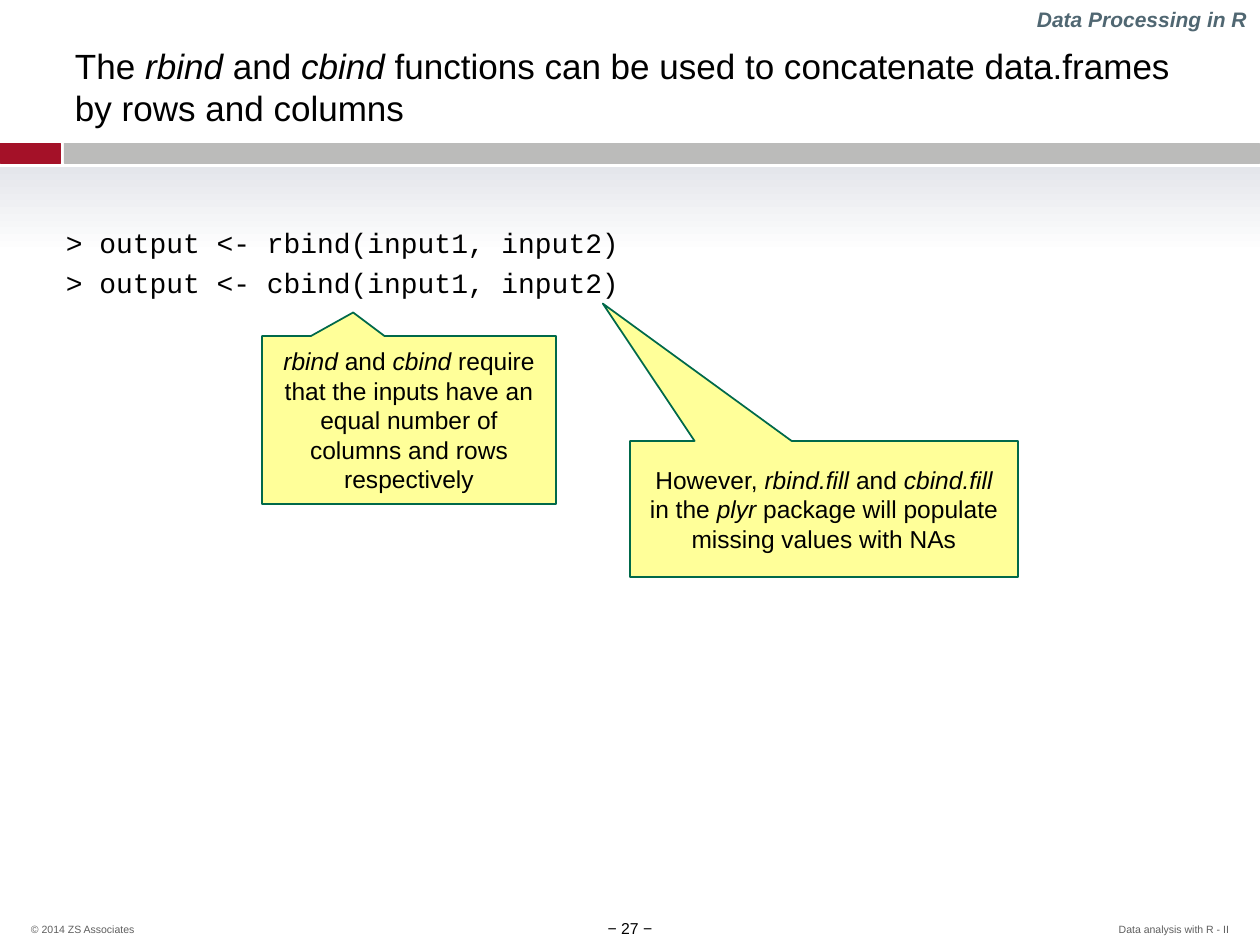
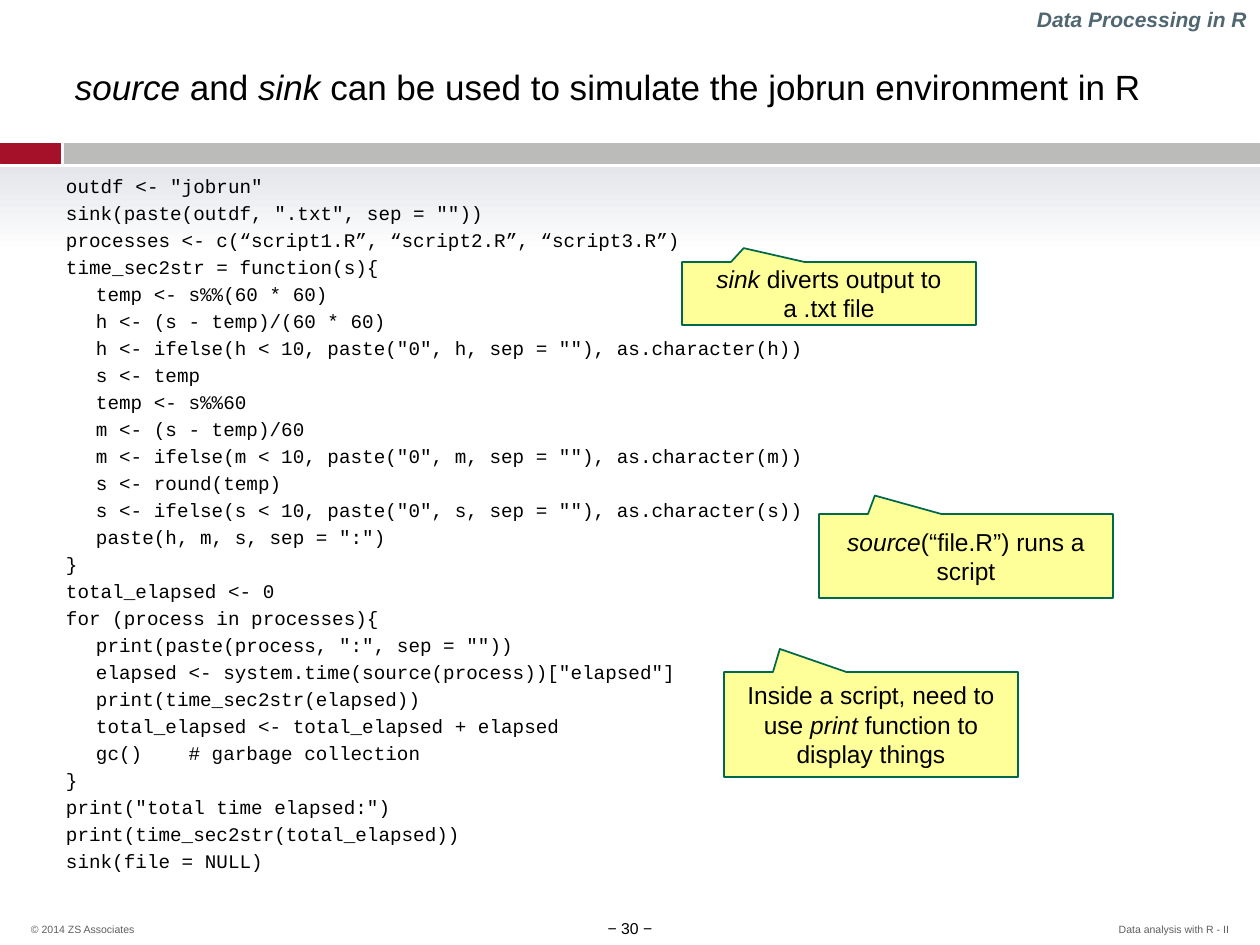
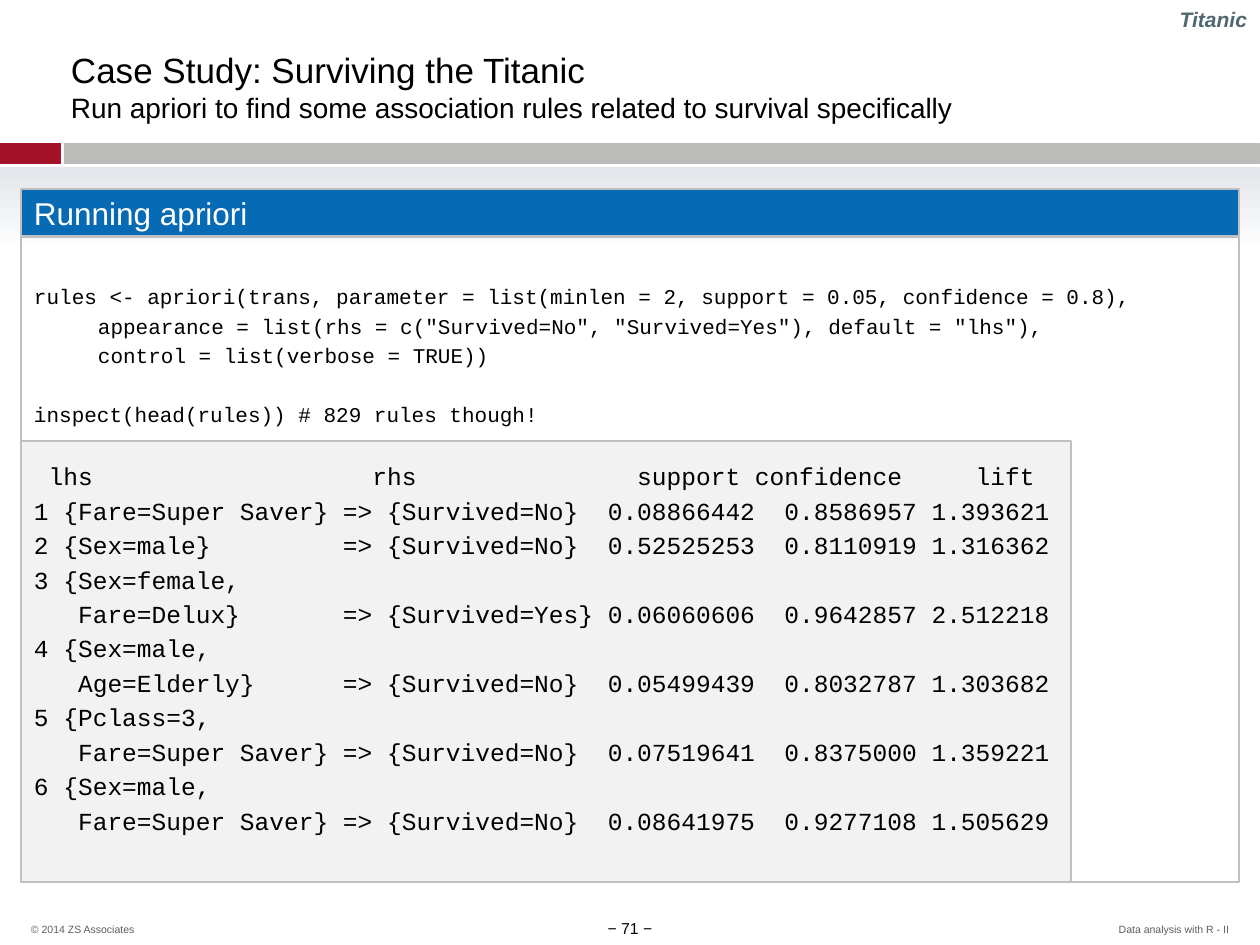
"""Build three slides on data processing and association rules in R."""
import pptx
import pptx.dml.color
import pptx.enum.shapes
import pptx.enum.text
import pptx.util

PX = 914400 / 126
rgb = pptx.dml.color.RGBColor.from_string
PRESET = pptx.enum.shapes.MSO_SHAPE
ALIGN = pptx.enum.text.PP_ALIGN
ANCHOR = pptx.enum.text.MSO_ANCHOR

BLACK, WHITE = "000000", "FFFFFF"
RED, GREY, HAZE = "A41128", "BBBBBA", "E4E6EB"
SLATE, FOOTER_GREY = "506772", "5F5F5F"
YELLOW, GREEN = "FFFF99", "00694A"
BLUE, PALE, BORDER = "076AB5", "F2F2F2", "BFBFBF"
SANS, MONO = "Arial", "Courier New"


def box(slide, place, preset=None, fill=None, line=None, width=1):
    """Add a text box, or a preset shape with the given fill and line."""
    left, top, wide, high = [round(length * PX) for length in place]
    if preset is None:
        return slide.shapes.add_textbox(left, top, wide, high)
    shape = slide.shapes.add_shape(preset, left, top, wide, high)
    shape.shadow.inherit = False
    if fill:
        shape.fill.solid()
        shape.fill.fore_color.rgb = rgb(fill)
    else:
        shape.fill.background()
    if line:
        shape.line.color.rgb = rgb(line)
        shape.line.width = pptx.util.Pt(width)
    else:
        shape.line.fill.background()
    return shape


def write(shape, lines, face=SANS, tint=BLACK, align=ALIGN.LEFT, anchor=ANCHOR.TOP,
          margins=(13, 6), hang=0, bold=False, leading=None):
    """Write (text, size, gap) lines, with italic parts between bars."""
    frame = shape.text_frame
    frame.word_wrap = True
    frame.vertical_anchor = anchor
    frame.margin_left = frame.margin_right = round(margins[0] * PX)
    frame.margin_top = frame.margin_bottom = round(margins[1] * PX)
    for row, (text, size, gap) in enumerate(lines):
        paragraph = frame.paragraphs[0] if row == 0 else frame.add_paragraph()
        paragraph.alignment = align
        if hang:
            properties = paragraph._p.get_or_add_pPr()
            properties.set("marL", str(round(hang * PX)))
            properties.set("indent", str(-round(hang * PX)))
        if face == MONO:
            paragraph.line_spacing = pptx.util.Pt(round(size * 1.19, 2))
        elif leading:
            paragraph.line_spacing = leading
        if row and gap:
            paragraph.space_before = pptx.util.Pt(round(gap, 2))
        for part, words in enumerate(text.split("|")):
            if words:
                run = paragraph.add_run()
                run.text = words
                run.font.name = face
                run.font.size = pptx.util.Pt(size)
                run.font.color.rgb = rgb(tint)
                run.font.bold = bold
                run.font.italic = part % 2 == 1


CODE_GAP = 0.215
BLANK_LINE = 1.4 * 12

bind_code = ["> output <- rbind(input1, input2)", "> output <- cbind(input1, input2)"]
jobrun_code = """outdf <- "jobrun"
sink(paste(outdf, ".txt", sep = ""))
processes <- c(“script1.R”, “script2.R”, “script3.R”)
time_sec2str = function(s){
\ttemp <- s%%(60 * 60)
\th <- (s - temp)/(60 * 60)
\th <- ifelse(h < 10, paste("0", h, sep = ""), as.character(h))
\ts <- temp
\ttemp <- s%%60
\tm <- (s - temp)/60
\tm <- ifelse(m < 10, paste("0", m, sep = ""), as.character(m))
\ts <- round(temp)
\ts <- ifelse(s < 10, paste("0", s, sep = ""), as.character(s))
\tpaste(h, m, s, sep = ":")
}
total_elapsed <- 0
for (process in processes){
\tprint(paste(process, ":", sep = ""))
\telapsed <- system.time(source(process))["elapsed"]
\tprint(time_sec2str(elapsed))
\ttotal_elapsed <- total_elapsed + elapsed
\tgc()    # garbage collection
}
print("total time elapsed:")
print(time_sec2str(total_elapsed))
sink(file = NULL)""".split("\n")
apriori_code = """rules <- apriori(trans, parameter = list(minlen = 2, support = 0.05, confidence = 0.8),
\tappearance = list(rhs = c("Survived=No", "Survived=Yes"), default = "lhs"),
\tcontrol = list(verbose = TRUE))
inspect(head(rules)) # 829 rules though!""".split("\n")
apriori_output = """ lhs                   rhs               support confidence     lift
1 {Fare=Super Saver} => {Survived=No}  0.08866442  0.8586957 1.393621
2 {Sex=male}         => {Survived=No}  0.52525253  0.8110919 1.316362
3 {Sex=female,
   Fare=Delux}       => {Survived=Yes} 0.06060606  0.9642857 2.512218
4 {Sex=male,
   Age=Elderly}      => {Survived=No}  0.05499439  0.8032787 1.303682
5 {Pclass=3,
   Fare=Super Saver} => {Survived=No}  0.07519641  0.8375000 1.359221
6 {Sex=male,
   Fare=Super Saver} => {Survived=No}  0.08641975  0.9277108 1.505629""".split("\n")

pages = [
    dict(number=27, section="Data Processing in R", title_place=(63, 39, 1137, 95),
         title=[("The |rbind| and |cbind| functions can be used to concatenate "
                 "data.frames by rows and columns", 20, 0)],
         code=bind_code, code_size=16, code_place=(53, 220, 1155, 651),
         callouts=[
             ((262, 336, 294, 168), (-0.19, -0.64),
              "|rbind| and |cbind| require that the inputs have an equal number of "
              "columns and rows respectively"),
             ((630, 441, 388, 136), (-0.57, -1.51),
              "However, |rbind.fill |and |cbind.fill| in the |plyr| package will "
              "populate missing values with NAs")]),
    dict(number=30, section="Data Processing in R", title_place=(63, 39, 1137, 95),
         title=[("|source| and |sink| can be used to simulate the jobrun "
                 "environment in R", 20, 0)],
         code=jobrun_code, code_size=11, code_place=(53, 168, 1155, 703),
         callouts=[
             ((724, 672, 294, 105), (-0.31, -0.72),
              "Inside a script, need to use |print| function to display things"),
             ((682, 262, 294, 63), (-0.29, -0.72),
              "|sink| diverts output to a .txt file"),
             ((819, 514, 294, 84), (-0.31, -0.72),
              "|source|(“file.R”) runs a script")]),
    dict(number=71, section="Titanic", title_place=(59, 43, 1140, 86),
         title=[("Case Study: Surviving the Titanic", 20, 0),
                ("Run apriori to find some association rules related to survival "
                 "specifically", 16, 0)],
         code=[], callouts=[]),
]

deck = pptx.Presentation()
deck.slide_width = round(1260 * PX)
deck.slide_height = round(945 * PX)

for page in pages:
    slide = deck.slides.add_slide(deck.slide_layouts[6])
    for left, width, band in [(0, 60, RED), (64, 1195, GREY)]:
        box(slide, (left, 143, width, 20), PRESET.RECTANGLE, band, band, 0.25)
    haze = box(slide, (0, 167, 1260, 87), PRESET.RECTANGLE)
    haze.fill.gradient()
    haze.fill.gradient_angle = 270
    for stop, shade, position in zip(haze.fill.gradient_stops, (HAZE, WHITE), (0, 1)):
        stop.color.rgb = rgb(shade)
        stop.position = position
    for left, footer, side in [(929, "Data analysis with R - II", ALIGN.RIGHT),
                               (31, "© 2014 ZS Associates", ALIGN.LEFT)]:
        write(box(slide, (left, 917, 300, 18)), [(footer, 6, 0)], tint=FOOTER_GREY,
              align=side, anchor=ANCHOR.BOTTOM, margins=(0, 0), leading=0.8)
    write(box(slide, (567, 919, 126, 19)), [(f"− {page['number']} −", 9, 0)],
          align=ALIGN.CENTER, margins=(13, 0))
    write(box(slide, page["title_place"]), page["title"], anchor=ANCHOR.MIDDLE,
          margins=(12, 6))
    write(box(slide, (976, 0, 284, 38)), [(f"|{page['section']}|", 12, 0)], tint=SLATE,
          align=ALIGN.RIGHT, anchor=ANCHOR.BOTTOM, bold=True)
    if page["code"]:
        size = page["code_size"]
        write(box(slide, page["code_place"]),
              [(line, size, CODE_GAP * size) for line in page["code"]], MONO, hang=30)
    for place, tip, remark in page["callouts"]:
        callout = box(slide, place, PRESET.RECTANGULAR_CALLOUT, YELLOW, GREEN)
        callout.adjustments[0], callout.adjustments[1] = tip
        write(callout, [(remark, 14, 0)], align=ALIGN.CENTER, anchor=ANCHOR.MIDDLE)

box(slide, (21, 441, 1050, 441), PRESET.RECTANGLE, PALE, BORDER)
listing = [(line, 12, CODE_GAP * 12) for line in apriori_code]
listing += [(line, 14, CODE_GAP * 14) for line in apriori_output]
for start in (len(apriori_code) - 1, len(apriori_code)):
    line, size, gap = listing[start]
    listing[start] = (line, size, gap + BLANK_LINE)
write(box(slide, (21, 237, 1218, 645), PRESET.RECTANGLE, line=BORDER), listing, MONO,
      anchor=ANCHOR.MIDDLE, hang=64)
write(box(slide, (21, 189, 1218, 47), PRESET.RECTANGLE, BLUE, BORDER),
      [("Running apriori", 18, 0)], tint=WHITE, anchor=ANCHOR.MIDDLE)

deck.save("out.pptx")
